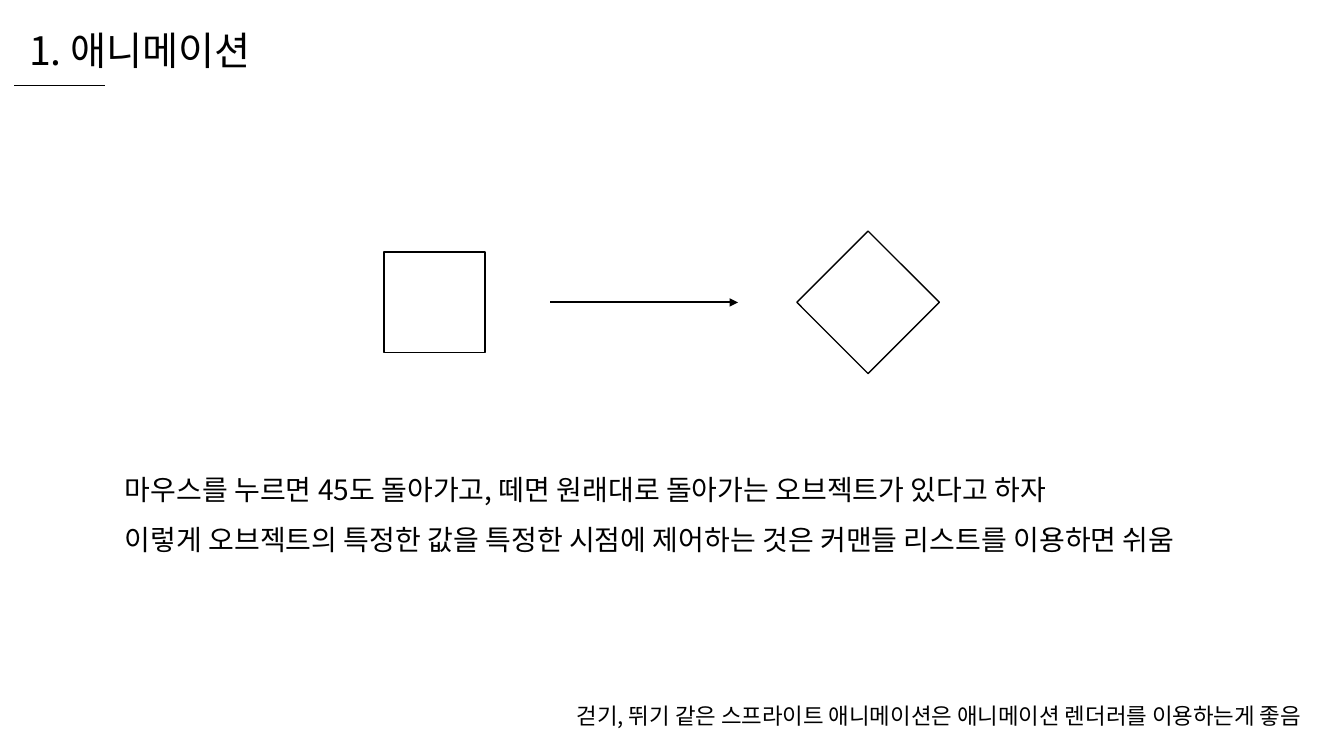
from lxml import etree
from pptx import Presentation
from pptx import util as u
from pptx.dml.color import RGBColor
from pptx.enum import shapes, text
from pptx.oxml.ns import qn

PX = 9144  # 100 px to the inch


def px(n):
    return u.Emu(n * PX)


def rgb(code):
    return RGBColor.from_string(code)


class Deck:
    font = "Noto Sans CJK KR"
    ink = "000000"
    paper = "FFFFFF"

    def __init__(self, width, height):
        self.prs = Presentation()
        self.prs.slide_width, self.prs.slide_height = px(width), px(height)
        self.s = self.prs.slides.add_slide(self.prs.slide_layouts[6])

    def fill_text(self, tf, lines, size, spacing=None):
        """Put each line in its own paragraph, in the Latin and East Asian font."""
        for i, line in enumerate(lines):
            p = tf.add_paragraph() if i else tf.paragraphs[0]
            if spacing:
                p.line_spacing = spacing
            r = p.add_run()
            r.text = line
            r.font.size = u.Pt(size)
            r.font.name = self.font
            r.font.color.rgb = rgb(self.ink)
            etree.SubElement(r.font._element, qn("a:ea"), typeface=self.font)

    def text(self, x, y, w, h, *lines, **fmt):
        tf = self.s.shapes.add_textbox(px(x), px(y), px(w), px(h)).text_frame
        tf.word_wrap = False
        tf.auto_size = text.MSO_AUTO_SIZE.SHAPE_TO_FIT_TEXT
        self.fill_text(tf, lines, **fmt)

    def square(self, x, y, side, rotation=0):
        sp = self.s.shapes.add_shape(
            shapes.MSO_SHAPE.RECTANGLE, px(x), px(y), px(side), px(side))
        sp.shadow.inherit = False
        sp.rotation = rotation
        sp.fill.solid()
        sp.fill.fore_color.rgb = rgb(self.paper)
        sp.line.color.rgb = rgb(self.ink)
        sp.line.width = u.Pt(1)

    def rule(self, x1, x2, y, width, arrow=False):
        """Draw a horizontal line, with an arrowhead at x2 if asked."""
        cx = self.s.shapes.add_connector(
            shapes.MSO_CONNECTOR.STRAIGHT, px(x1), px(y), px(x2), px(y))
        cx.line.color.rgb = rgb(self.ink)
        cx.line.width = u.Pt(width)
        if arrow:
            etree.SubElement(cx.line._get_or_add_ln(), qn("a:tailEnd"), type="triangle")
        etree.SubElement(cx._element.spPr, qn("a:effectLst"))


def main():
    deck = Deck(1333, 750)
    deck.text(19, 21, 252, 57, "1. 애니메이션", size=28)
    deck.rule(14, 104, 85, width=0.5)

    deck.square(381, 250, 100)
    deck.rule(546, 732, 300, width=1.5, arrow=True)
    deck.square(811, 250, 100, rotation=45)

    deck.text(114, 447, 1106, 105,
              "마우스를 누르면 45도 돌아가고, 떼면 원래대로 돌아가는 오브젝트가 있다고 하자",
              "이렇게 오브젝트의 특정한 값을 특정한 시점에 제어하는 것은 커맨들 리스트를 이용하면 쉬움",
              size=20, spacing=1.5)
    deck.text(562, 692, 772, 37,
              "걷기, 뛰기 같은 스프라이트 애니메이션은 애니메이션 렌더러를 이용하는게 좋음",
              size=16)
    deck.prs.save("out.pptx")


if __name__ == "__main__":
    main()
